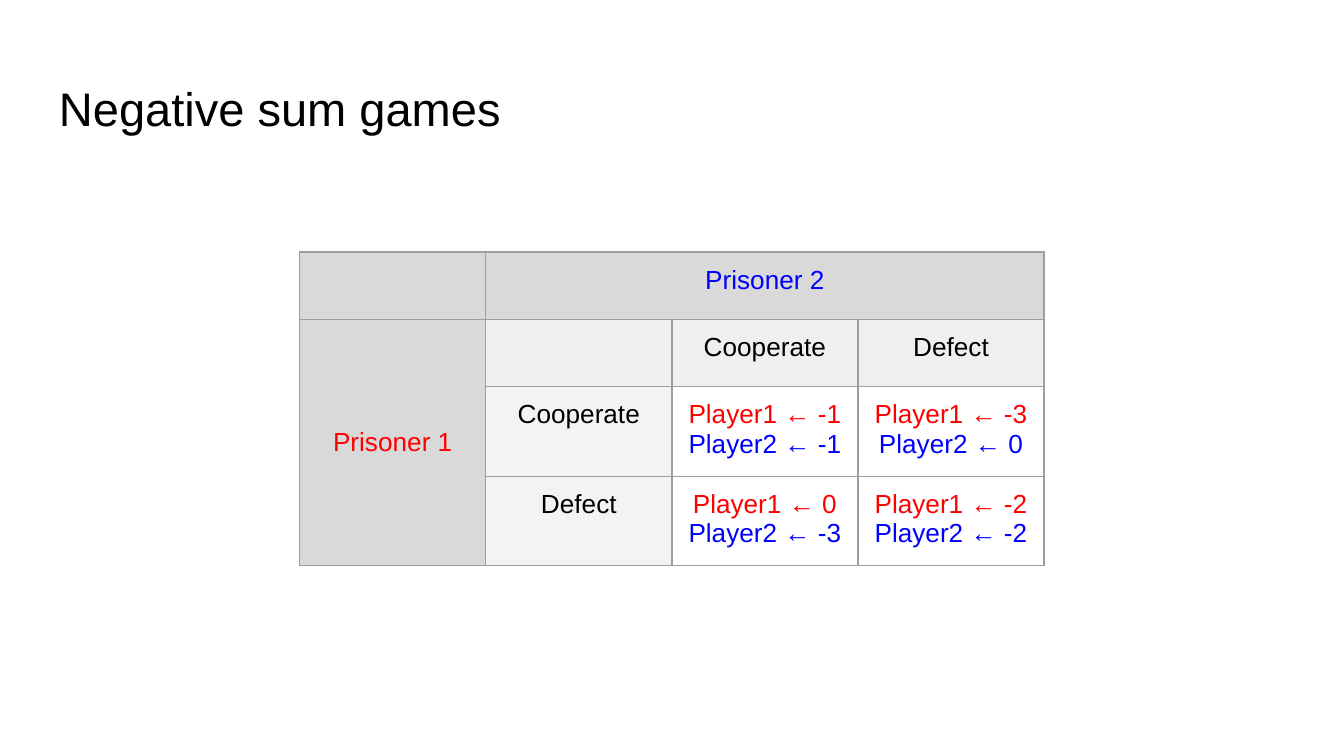
from lxml.etree import SubElement
from pptx import Presentation
from pptx.dml.color import RGBColor
from pptx.enum.text import MSO_ANCHOR as Anchor, PP_ALIGN as Align
from pptx.oxml.ns import qn
from pptx.util import Inches, Pt

BLACK = RGBColor(0x00, 0x00, 0x00)
RED = RGBColor(0xFF, 0x00, 0x00)
BLUE = RGBColor(0x00, 0x00, 0xFF)
DARK_GRAY = RGBColor(0xD9, 0xD9, 0xD9)
GRAY = RGBColor(0xEF, 0xEF, 0xEF)
LIGHT_GRAY = RGBColor(0xF3, 0xF3, 0xF3)
BORDER = RGBColor(0x9E, 0x9E, 0x9E)

FONT = "Arial"
TABLE_SIZE = 14
EMPTY_SIZE = 18
INSET = Inches(0.1)
CHOICES = ["Cooperate", "Defect"]
PAYOFFS = [[(-1, -1), (-3, 0)], [(0, -3), (-2, -2)]]


def write_text(frame, *lines, size=TABLE_SIZE, colors=(BLACK,), align=Align.CENTER):
    for index, (line, color) in enumerate(zip(lines, colors)):
        paragraph = frame.paragraphs[0] if index == 0 else frame.add_paragraph()
        paragraph.alignment = align
        run = paragraph.add_run()
        run.text = line
        run.font.name = FONT
        run.font.size = Pt(size)
        run.font.color.rgb = color


def set_borders(cell):
    properties = cell._tc.get_or_add_tcPr()
    for index, side in enumerate(("a:lnL", "a:lnR", "a:lnT", "a:lnB")):
        line = properties.makeelement(qn(side), {"w": str(Pt(0.75))})
        fill = SubElement(line, qn("a:solidFill"))
        SubElement(fill, qn("a:srgbClr"), val=str(BORDER))
        properties.insert(index, line)


def format_cell(cell, fill=None):
    cell.margin_left = cell.margin_right = INSET
    cell.margin_top = cell.margin_bottom = INSET
    if fill is None:
        cell.fill.background()
    else:
        cell.fill.solid()
        cell.fill.fore_color.rgb = fill
    set_borders(cell)
    paragraph = cell.text_frame.paragraphs[0]
    ending = SubElement(paragraph._p, qn("a:endParaRPr"), sz=str(EMPTY_SIZE * 100))
    SubElement(ending, qn("a:latin"), typeface=FONT)


def cell_fill(row, column):
    if row == 0 or column == 0:
        return DARK_GRAY
    if row == 1:
        return GRAY
    return LIGHT_GRAY if column == 1 else None


def add_title(slide, text, left, top, width, height):
    frame = slide.shapes.add_textbox(left, top, width, height).text_frame
    frame.word_wrap = True
    frame.vertical_anchor = Anchor.TOP
    frame.margin_left = frame.margin_right = INSET
    frame.margin_top = frame.margin_bottom = INSET
    write_text(frame, text, size=25.2, align=Align.LEFT)


def add_payoff_table(slide, left, top, width, height):
    table = slide.shapes.add_table(4, 4, left, top, width, height).table
    table.first_row = table.horz_banding = False
    for column in table.columns:
        column.width = int(width / 4)
    for row in table.rows:
        row.height = int(height / 4)
    for row in range(4):
        for column in range(4):
            format_cell(table.cell(row, column), cell_fill(row, column))

    table.cell(0, 1).merge(table.cell(0, 3))
    table.cell(1, 0).merge(table.cell(3, 0))
    write_text(table.cell(0, 1).text_frame, "Prisoner 2", colors=[BLUE])
    write_text(table.cell(1, 0).text_frame, "Prisoner 1", colors=[RED])
    table.cell(1, 0).vertical_anchor = Anchor.MIDDLE

    for index, choice in enumerate(CHOICES, start=2):
        write_text(table.cell(1, index).text_frame, choice)
        write_text(table.cell(index, 1).text_frame, choice)
    for row, payoffs in enumerate(PAYOFFS, start=2):
        for column, (first, second) in enumerate(payoffs, start=2):
            write_text(
                table.cell(row, column).text_frame,
                f"Player1 ← {first}",
                f"Player2 ← {second}",
                colors=[RED, BLUE],
            )


def main():
    presentation = Presentation()
    presentation.slide_width = Inches(10)
    presentation.slide_height = int(presentation.slide_width * 9 / 16)
    width, height = presentation.slide_width, presentation.slide_height
    slide = presentation.slides.add_slide(presentation.slide_layouts[6])
    margin = Inches(0.34)
    add_title(slide, "Negative sum games", margin, Inches(0.49), width - 2 * margin, Inches(0.63))
    add_payoff_table(slide, Inches(2.23), int(height / 3), Inches(5.54), Inches(4 * 0.42))
    presentation.save("out.pptx")


if __name__ == "__main__":
    main()
